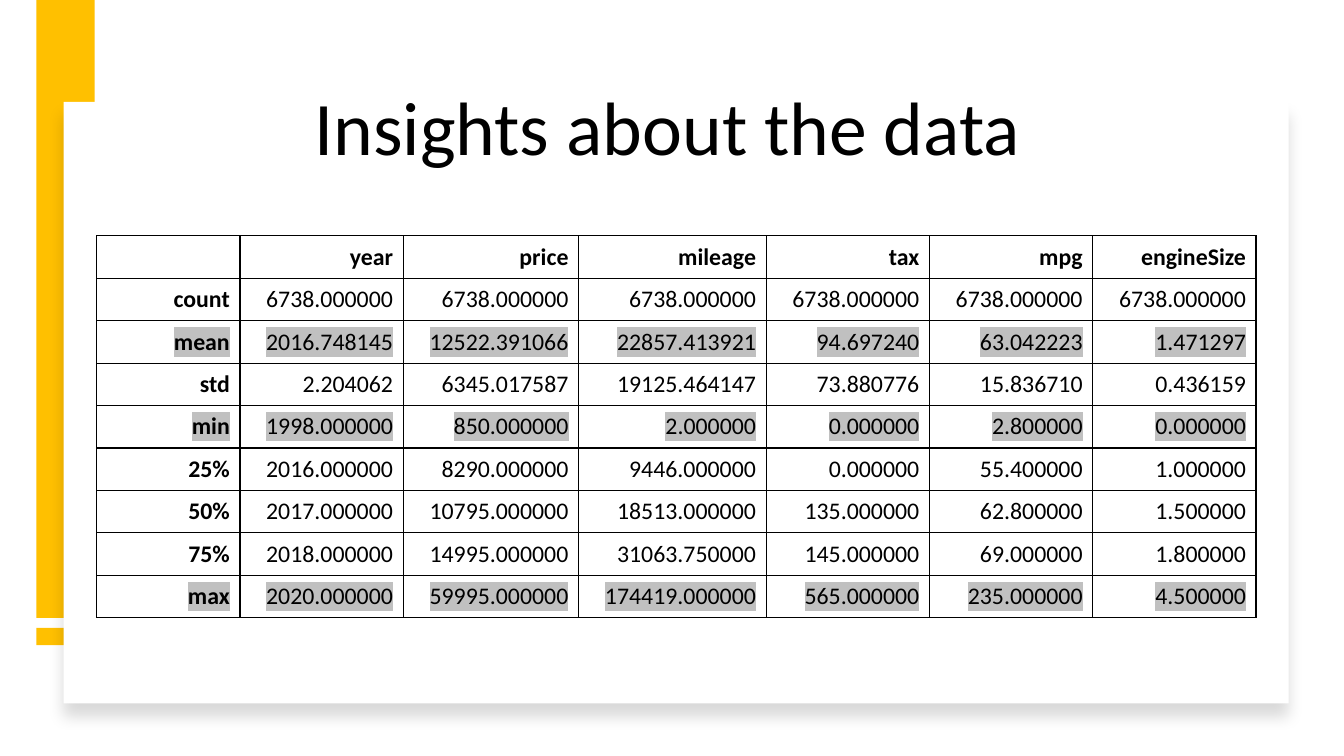
from lxml import etree
from pptx import Presentation
from pptx.dml.color import RGBColor
from pptx.enum.shapes import MSO_SHAPE
from pptx.enum.text import MSO_ANCHOR, PP_ALIGN
from pptx.oxml.ns import qn
from pptx.util import Inches, Pt

RECTANGLE = MSO_SHAPE.RECTANGLE
MIDDLE, BOTTOM = MSO_ANCHOR.MIDDLE, MSO_ANCHOR.BOTTOM
RIGHT, CENTER = PP_ALIGN.RIGHT, PP_ALIGN.CENTER
COLORS = {"accent": "FFC000", "paper": "FFFFFF", "ink": "000000", "mark": "C0C0C0"}
FONT = "Calibri"


def add_color(parent, color):
    return etree.SubElement(parent, qn("a:srgbClr"), val=COLORS[color])


def format_run(run, size, bold):
    settings = {"name": FONT, "size": Pt(size), "bold": bold}
    for attribute, value in settings.items():
        setattr(run.font, attribute, value)
    run.font.color.rgb = RGBColor.from_string(COLORS["ink"])


deck = Presentation()
deck.slide_width, deck.slide_height = Inches(13.33), Inches(7.5)
slide = deck.slides.add_slide(deck.slide_layouts[5])

bar_left, bar_width = 0.36, 0.58
panels = [
    (bar_left, 6.23, bar_width, 0.17, "accent"),
    (bar_left, 0, bar_width, 6.13, "accent"),
    (0.63, 1.01, 12.15, 5.97, "paper"),
]
for left, top, width, height, color in panels:
    card = slide.shapes.add_shape(
        RECTANGLE, Inches(left), Inches(top), Inches(width), Inches(height))
    card.shadow.inherit = False
    card.fill.solid()
    card.fill.fore_color.rgb = RGBColor.from_string(COLORS[color])
    card.line.fill.background()

effects = card._element.spPr.find(qn("a:effectLst"))
card_shadow = etree.SubElement(
    effects, qn("a:outerShdw"), blurRad=str(Pt(11)), dist=str(Pt(10)),
    dir="5400000", algn="t", rotWithShape="0")
etree.SubElement(add_color(card_shadow, "ink"), qn("a:alpha"), val="15000")

title = slide.shapes.title
slide.shapes._spTree.append(title._element)
title.left, title.top = Inches(1.32), Inches(0.27)
title.width, title.height = Inches(10.77), Inches(1.48)
title.text_frame.vertical_anchor = BOTTOM
title.text_frame.word_wrap = True
heading = title.text_frame.paragraphs[0]
heading.alignment = CENTER
heading.line_spacing = 0.9
heading_run = heading.add_run()
heading_run.text = "Insights about the data "
format_run(heading_run, 54, False)

statistics = [
    ["", "year", "price", "mileage", "tax", "mpg", "engineSize"],
    ["count"] + ["6738.000000"] * 6,
    ["mean", "2016.748145", "12522.391066", "22857.413921", "94.697240", "63.042223", "1.471297"],
    ["std", "2.204062", "6345.017587", "19125.464147", "73.880776", "15.836710", "0.436159"],
    ["min", "1998.000000", "850.000000", "2.000000", "0.000000", "2.800000", "0.000000"],
    ["25%", "2016.000000", "8290.000000", "9446.000000", "0.000000", "55.400000", "1.000000"],
    ["50%", "2017.000000", "10795.000000", "18513.000000", "135.000000", "62.800000", "1.500000"],
    ["75%", "2018.000000", "14995.000000", "31063.750000", "145.000000", "69.000000", "1.800000"],
    ["max", "2020.000000", "59995.000000", "174419.000000", "565.000000", "235.000000", "4.500000"],
]
marked_rows = {"mean", "min", "max"}
column_widths = [1.42, 1.62, 1.74, 1.86, 1.62, 1.62, 1.62]

summary = slide.shapes.add_table(
    len(statistics), len(column_widths), Inches(0.96), Inches(2.34),
    Inches(sum(column_widths)), Inches(3.79)).table
summary.first_row = summary.horz_banding = False
for column, width in zip(summary.columns, column_widths):
    column.width = Inches(width)

for row_index, values in enumerate(statistics):
    for column_index, value in enumerate(values):
        cell = summary.cell(row_index, column_index)
        cell.vertical_anchor = MIDDLE
        cell_properties = cell._tc.get_or_add_tcPr()
        for side in ("a:lnL", "a:lnR", "a:lnT", "a:lnB"):
            border = etree.SubElement(cell_properties, qn(side), w=str(Pt(1)))
            add_color(etree.SubElement(border, qn("a:solidFill")), "ink")
        cell.fill.solid()
        cell.fill.fore_color.rgb = RGBColor.from_string(COLORS["paper"])
        if not value:
            continue
        paragraph = cell.text_frame.paragraphs[0]
        paragraph.alignment = RIGHT
        figure = paragraph.add_run()
        figure.text = value
        format_run(figure, 17, row_index == 0 or column_index == 0)
        if values[0] in marked_rows:
            highlight = etree.Element(qn("a:highlight"))
            add_color(highlight, "mark")
            figure.font._element.find(qn("a:solidFill")).addnext(highlight)

deck.save("out.pptx")
